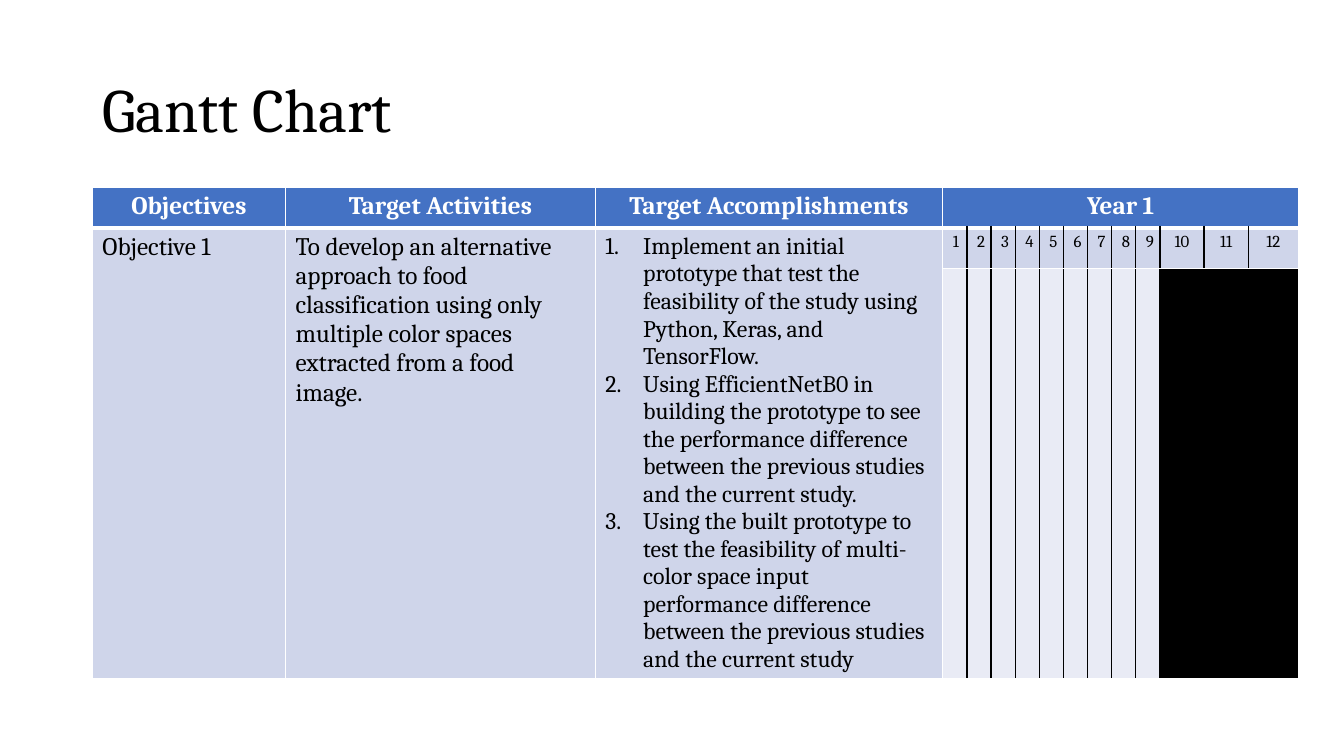
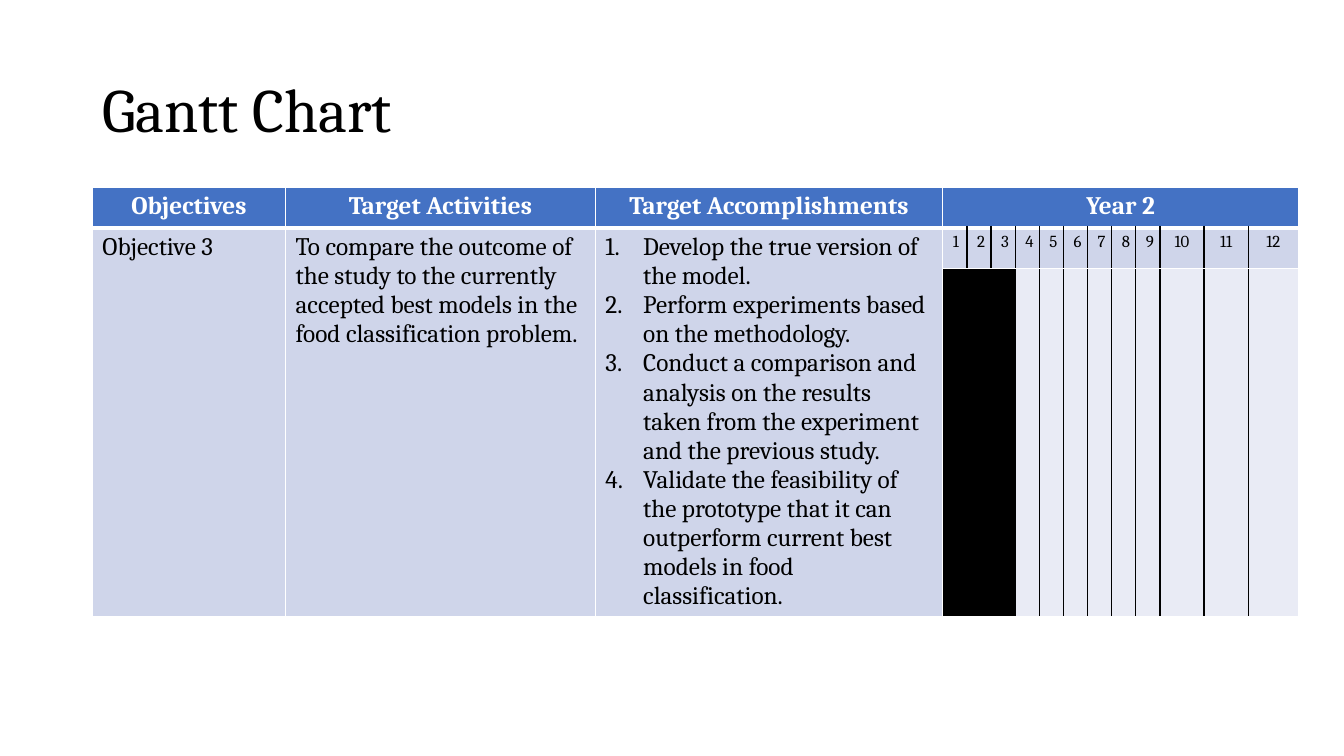
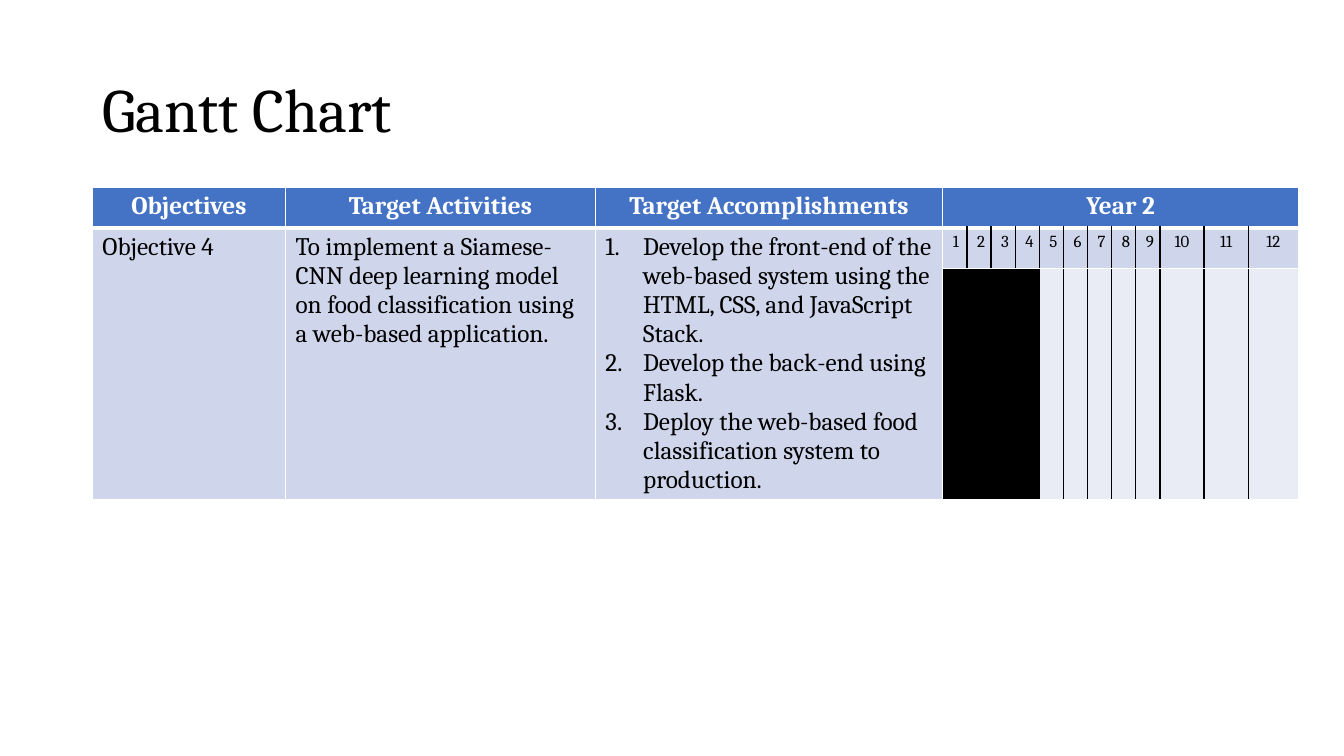
from lxml.etree import SubElement
from pptx import Presentation
from pptx.dml.color import RGBColor
from pptx.enum.text import MSO_ANCHOR, MSO_AUTO_SIZE, PP_ALIGN
from pptx.oxml.ns import qn
from pptx.util import Emu, Pt

# Shared look
PX = 9525
FONT = "Cambria"
COLORS = {
    "white": "FFFFFF",
    "black": "000000",
    "header": "4472C4",
    "band": "CFD5EA",
    "open": "E9EBF5",
}
TITLE_BOX = {"left": 88, "top": 38, "width": 1104, "height": 139}
TABLE_LEFT, TABLE_TOP = 88, 178
COLUMN_WIDTHS = [184, 295, 331] + [23] * 9 + [42, 42, 48]
ROW_HEIGHT = 39
LIST_INDENT = 36
FIRST_MONTH, MONTHS = 3, 12
HEADINGS = ["Objectives", "Target Activities", "Target Accomplishments"]

# Format values for the kinds of text
TITLE_TEXT = {"size": Pt(44), "bold": False}
HEADER_TEXT = {"size": Pt(18), "bold": True}
BODY_TEXT = {"size": Pt(18), "bold": False}
SMALL_BODY_TEXT = {"size": Pt(17), "bold": False}
MONTH_TEXT = {"size": Pt(12), "bold": False}

# Content of each slide; "busy" holds the months that are filled in
PLANS = [
    {
        "year": "Year 1",
        "objective": "Objective 1",
        "activity": "To develop an alternative approach to food classification "
                    "using only multiple color spaces extracted from a food image.",
        "steps": [
            "Implement an initial prototype that test the feasibility of the "
            "study using Python, Keras, and TensorFlow.",
            "Using EfficientNetB0 in building the prototype to see the performance "
            "difference between the previous studies and the current study.",
            "Using the built prototype to test the feasibility of multi-color space "
            "input performance difference between the previous studies and the "
            "current study",
        ],
        "step_text": SMALL_BODY_TEXT,
        "busy": range(10, 13),
        "bar_height": 388,
    },
    {
        "year": "Year 2",
        "objective": "Objective 3",
        "activity": "To compare the outcome of the study to the currently accepted "
                    "best models in the food classification problem.",
        "steps": [
            "Develop the true version of the model.",
            "Perform experiments based on the methodology.",
            "Conduct a comparison and analysis on the results taken from the "
            "experiment and the previous study.",
            "Validate the feasibility of the prototype that it can outperform "
            "current best models in food classification.",
        ],
        "step_text": BODY_TEXT,
        "busy": range(1, 4),
        "bar_height": 329,
    },
    {
        "year": "Year 2",
        "objective": "Objective 4",
        "activity": "To implement a Siamese-CNN deep learning model on food "
                    "classification using a web-based application.",
        "steps": [
            "Develop the front-end of the web-based system using the HTML, CSS, "
            "and JavaScript Stack.",
            "Develop the back-end using Flask.",
            "Deploy the web-based food classification system to production.",
        ],
        "step_text": BODY_TEXT,
        "busy": range(1, 5),
        "bar_height": 219,
    },
]


def px(length):
    return Emu(length * PX)


def rgb(name):
    return RGBColor.from_string(COLORS[name])


def write(para, text, look, color="black", align=PP_ALIGN.LEFT):
    para.alignment = align
    span = para.add_run()
    span.text = text
    span.font.name = FONT
    span.font.color.rgb = rgb(color)
    for name, value in look.items():
        setattr(span.font, name, value)


def number(para):
    """Make the paragraph an item of a numbered list."""
    props = para._p.get_or_add_pPr()
    props.set("marL", str(px(LIST_INDENT)))
    props.set("indent", str(-px(LIST_INDENT)))
    SubElement(props, qn("a:buAutoNum"), type="arabicPeriod")


def paint(cell, fill, left="white", right="white", top_width=1, bottom_width=1):
    """Give the cell its four borders, then its fill."""
    props = cell._tc.get_or_add_tcPr()
    borders = [("L", left, 1), ("R", right, 1),
               ("T", "white", top_width), ("B", "white", bottom_width)]
    for side, color, width in borders:
        line = SubElement(props, qn(f"a:ln{side}"), w=str(Pt(width)))
        solid = SubElement(line, qn("a:solidFill"))
        SubElement(solid, qn("a:srgbClr"), val=COLORS[color])
    cell.fill.solid()
    cell.fill.fore_color.rgb = rgb(fill)


def add_title(page, text):
    title = page.shapes.title
    for name, value in TITLE_BOX.items():
        setattr(title, name, px(value))
    frame = title.text_frame
    frame.auto_size = MSO_AUTO_SIZE.NONE
    frame.vertical_anchor = MSO_ANCHOR.MIDDLE
    para = frame.paragraphs[0]
    para.line_spacing = 0.9
    write(para, text, TITLE_TEXT)


def add_grid(page, row_heights):
    table = page.shapes.add_table(
        len(row_heights), len(COLUMN_WIDTHS), px(TABLE_LEFT), px(TABLE_TOP),
        px(sum(COLUMN_WIDTHS)), px(sum(row_heights))).table
    table.first_row = table.horz_banding = False
    for column, width in zip(table.columns, COLUMN_WIDTHS):
        column.width = px(width)
    for row, height in zip(table.rows, row_heights):
        row.height = px(height)
    return table


def fill_header(table, year):
    for column in range(len(COLUMN_WIDTHS)):
        paint(table.cell(0, column), "header", bottom_width=3)
    table.cell(0, FIRST_MONTH).merge(table.cell(0, len(COLUMN_WIDTHS) - 1))
    for column, heading in enumerate(HEADINGS + [year]):
        para = table.cell(0, column).text_frame.paragraphs[0]
        write(para, heading, HEADER_TEXT, "white", PP_ALIGN.CENTER)


def fill_descriptions(table, plan):
    for column in range(FIRST_MONTH):
        paint(table.cell(1, column), "band", top_width=3)
        paint(table.cell(2, column), "band")
        table.cell(1, column).merge(table.cell(2, column))
    for column, name in enumerate(["objective", "activity"]):
        write(table.cell(1, column).text_frame.paragraphs[0], plan[name], BODY_TEXT)
    frame = table.cell(1, 2).text_frame
    for index, step in enumerate(plan["steps"]):
        para = frame.add_paragraph() if index else frame.paragraphs[0]
        write(para, step, plan["step_text"])
        number(para)


def fill_months(table, busy):
    for month in range(1, MONTHS + 1):
        column = FIRST_MONTH + month - 1
        sides = {"left": "white" if month == 1 else "black",
                 "right": "white" if month == MONTHS else "black"}
        label = table.cell(1, column)
        paint(label, "band", top_width=3, **sides)
        write(label.text_frame.paragraphs[0], str(month), MONTH_TEXT,
              align=PP_ALIGN.CENTER)
        paint(table.cell(2, column), "black" if month in busy else "open", **sides)


def add_gantt(page, plan):
    table = add_grid(page, [ROW_HEIGHT, ROW_HEIGHT, plan["bar_height"]])
    fill_header(table, plan["year"])
    fill_descriptions(table, plan)
    fill_months(table, plan["busy"])


def main():
    deck = Presentation()
    deck.slide_width, deck.slide_height = px(1280), px(720)
    title_only = deck.slide_layouts[5]
    for plan in PLANS:
        page = deck.slides.add_slide(title_only)
        add_title(page, "Gantt Chart")
        add_gantt(page, plan)
    deck.save("out.pptx")


if __name__ == "__main__":
    main()
